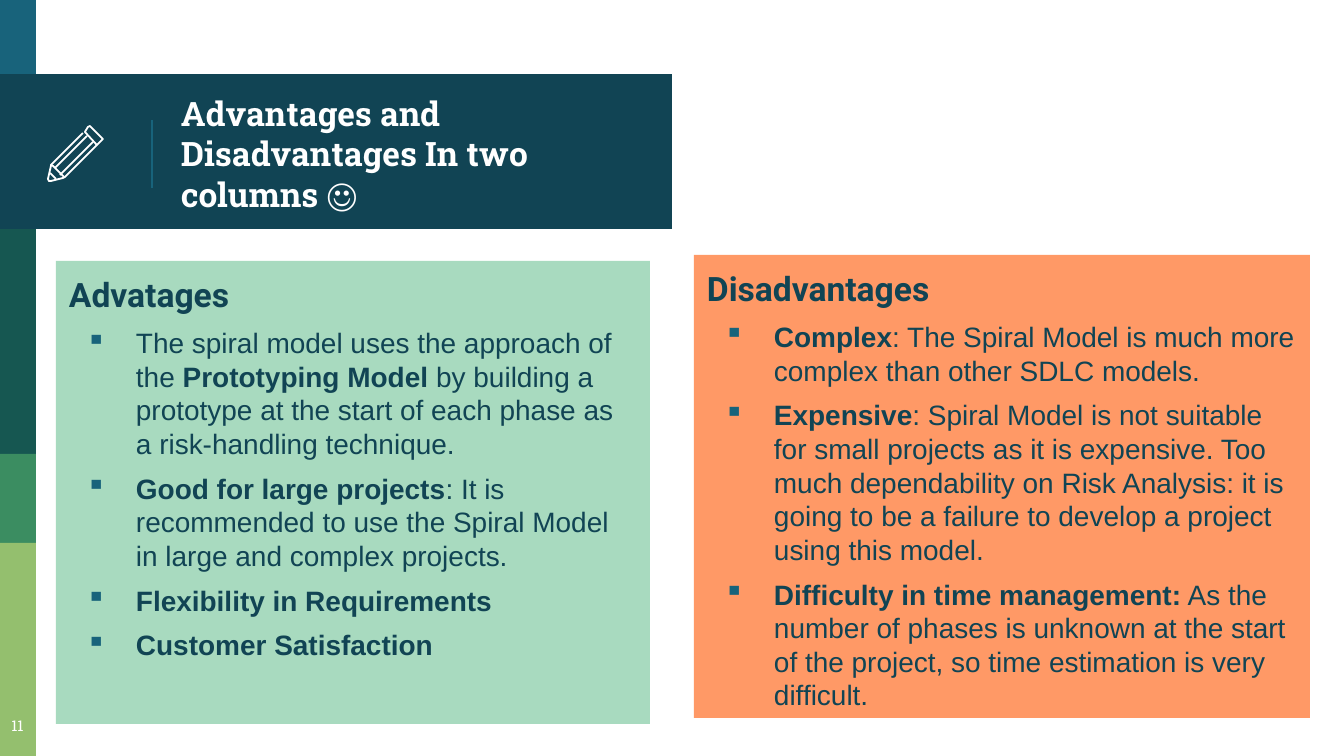
from lxml.etree import SubElement
from pptx import Presentation
from pptx.dml.color import RGBColor
from pptx.enum.shapes import MSO_CONNECTOR as Connector, MSO_SHAPE as Shape
from pptx.enum.text import MSO_ANCHOR as Anchor, PP_ALIGN as Align
from pptx.oxml.ns import qn
from pptx.util import Emu, Pt

PAGE_WIDTH, PAGE_HEIGHT = 1344, 756
SCALE = 9144000 / PAGE_WIDTH  # EMU per px
LINE_HEIGHT = 1.2

TEAL, NAVY, WHITE = "18637B", "114454", "FFFFFF"
SIDE_BANDS = [  # top, height, colour
    (0, 78, TEAL),
    (229, 225, "165751"),
    (454, 89, "3B8D61"),
    (543, 213, "94BF6E"),
]
PENCIL_CAP = [(102, 138), (91, 127), (90, 126), (88, 127), (85, 132),
              (97, 145), (102, 140), (103, 139)]
PENCIL_STROKES = [
    [(93, 142), (60, 175)],
    [(83, 133), (51, 165), (51, 166), (48, 179), (49, 181), (51, 181),
     (63, 178), (65, 177), (97, 145)],
    [(55, 168), (87, 136)],
    [(56, 179), (50, 173)],
    [(51, 165), (53, 166), (64, 177), (64, 178)],
]
# Text between double asterisks is bold.
ADVANTAGES = [
    "The spiral model uses the approach of the **Prototyping Model** by building "
    "a prototype at the start of each phase as a risk-handling technique.",
    "**Good for large projects**: It is recommended to use the Spiral Model in "
    "large and complex projects.",
    "**Flexibility in Requirements**",
    "**Customer Satisfaction**",
]
DISADVANTAGES = [
    "**Complex**: The Spiral Model is much more complex than other SDLC models.",
    "**Expensive**: Spiral Model is not suitable for small projects as it is "
    "expensive. Too much dependability on Risk Analysis: it is going to be a "
    "failure to develop a project using this model.",
    "**Difficulty in time management:** As the number of phases is unknown at "
    "the start of the project, so time estimation is very difficult.",
]


def px(length):
    return Emu(round(length * SCALE))


def color(code):
    return RGBColor.from_string(code)


def write(para, text, size=15, font="Arial", ink=NAVY, align=Align.LEFT, before=0):
    para.alignment = align
    para.space_before = Pt(before)
    para.line_spacing = Pt(size * LINE_HEIGHT)
    for index, part in enumerate(text.split("**")):
        if part:
            span = para.add_run()
            span.text = part
            span.font.size = Pt(size)
            span.font.name = font
            span.font.bold = index % 2 == 1
            span.font.color.rgb = color(ink)


def add_bullet(para):
    props = para._p.get_or_add_pPr()
    props.set("marL", str(px(67)))
    props.set("indent", str(px(-50)))
    tint = SubElement(props, qn("a:buClr"))
    SubElement(tint, qn("a:srgbClr"), val=TEAL)
    SubElement(props, qn("a:buChar"), char="▪")


class Page:
    def __init__(self, deck):
        self.shapes = deck.slides.add_slide(deck.slide_layouts[6]).shapes

    def frame(self, box, anchor=Anchor.TOP):
        """Set wrapping and equal insets, and return the text frame."""
        frame = box.text_frame
        frame.word_wrap = True
        frame.vertical_anchor = anchor
        frame.margin_left = frame.margin_right = px(13)
        frame.margin_top = frame.margin_bottom = px(13)
        return frame

    def rect(self, left, top, width, height, fill):
        box = self.shapes.add_shape(
            Shape.RECTANGLE, px(left), px(top), px(width), px(height))
        box.shadow.inherit = False
        box.fill.solid()
        box.fill.fore_color.rgb = color(fill)
        box.line.fill.background()
        return box

    def label(self, left, top, width, height, text, anchor=Anchor.TOP, **style):
        box = self.shapes.add_textbox(px(left), px(top), px(width), px(height))
        write(self.frame(box, anchor).paragraphs[0], text, **style)

    def rule(self, x1, y1, x2, y2, ink):
        line = self.shapes.add_connector(
            Connector.STRAIGHT, px(x1), px(y1), px(x2), px(y2))
        line.line.color.rgb = color(ink)
        line.line.width = Pt(0.75)
        SubElement(line._element.spPr, qn("a:effectLst"))

    def outline(self, points, close=False):
        builder = self.shapes.build_freeform(*points[0], scale=SCALE)
        builder.add_line_segments(points[1:], close=close)
        stroke = builder.convert_to_shape()
        stroke.shadow.inherit = False
        stroke.fill.background()
        stroke.line.color.rgb = color(WHITE)
        stroke.line.width = Pt(0.96)

    def panel(self, left, top, width, height, fill, heading, points):
        frame = self.frame(self.rect(left, top, width, height, fill))
        write(frame.paragraphs[0], f"**{heading}**", size=18, font="Roboto", before=6)
        for point in points:
            para = frame.add_paragraph()
            write(para, point, before=6)
            add_bullet(para)


def main():
    deck = Presentation()
    deck.slide_width, deck.slide_height = px(PAGE_WIDTH), px(PAGE_HEIGHT)
    page = Page(deck)

    for top, height, fill in SIDE_BANDS:
        page.rect(0, top, 36, height, fill)
    page.rect(0, 74, 672, 155, NAVY)
    page.rule(152, 120, 152, 188, TEAL)
    page.label(168, 78, 472, 151, "**Advantages and Disadvantages In two columns ☺**",
               anchor=Anchor.MIDDLE, size=18, font="Roboto Slab", ink=WHITE)

    page.panel(56, 261, 594, 463, "A8DABF", "Advatages", ADVANTAGES)
    page.panel(694, 255, 616, 463, "FF9966", "Disadvantages", DISADVANTAGES)

    page.outline(PENCIL_CAP, close=True)
    for stroke in PENCIL_STROKES:
        page.outline(stroke)
    page.label(-8, 708, 51, 47, "11", size=8, font="Roboto Slab", ink=WHITE,
               align=Align.CENTER)

    deck.save("out.pptx")


if __name__ == "__main__":
    main()
